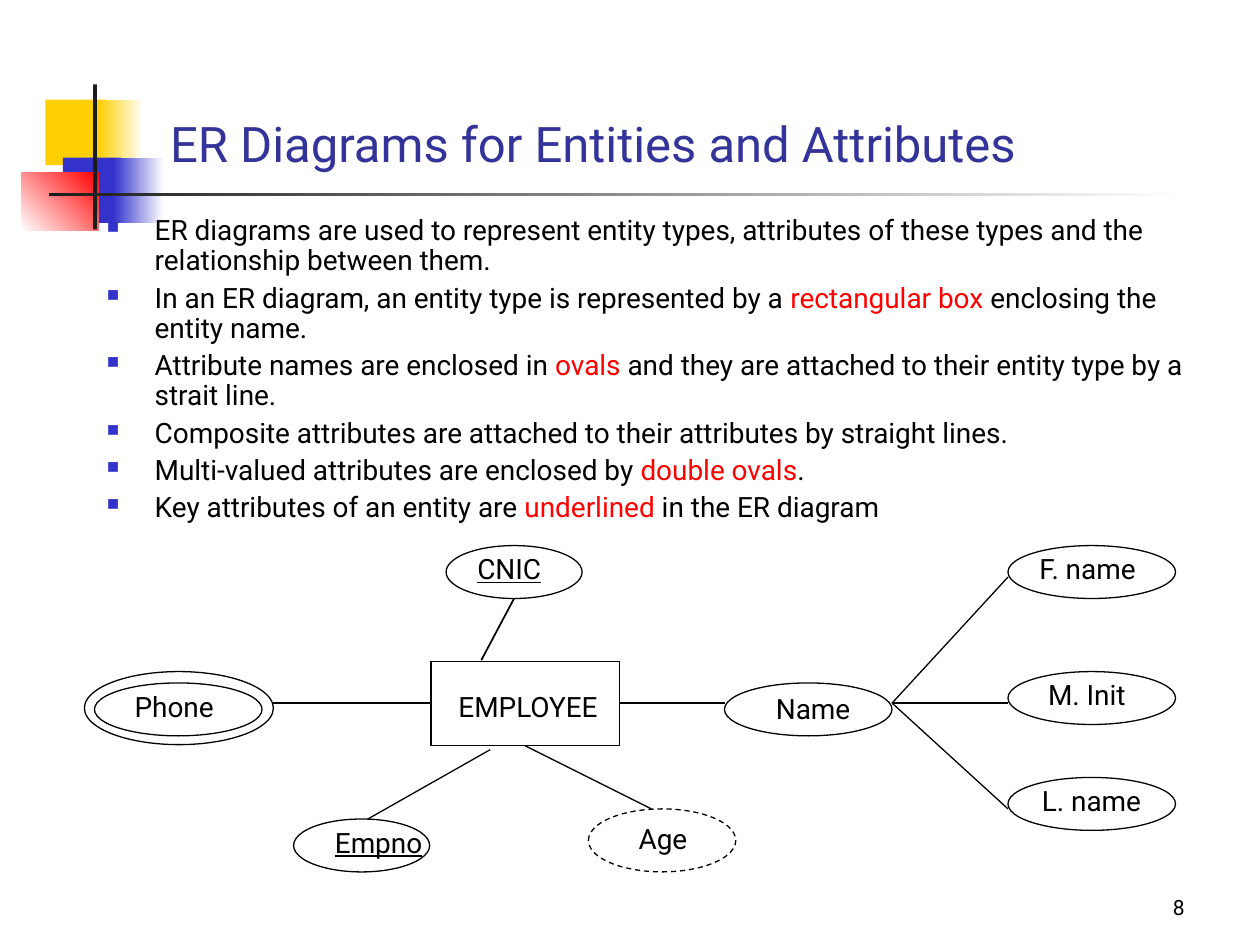
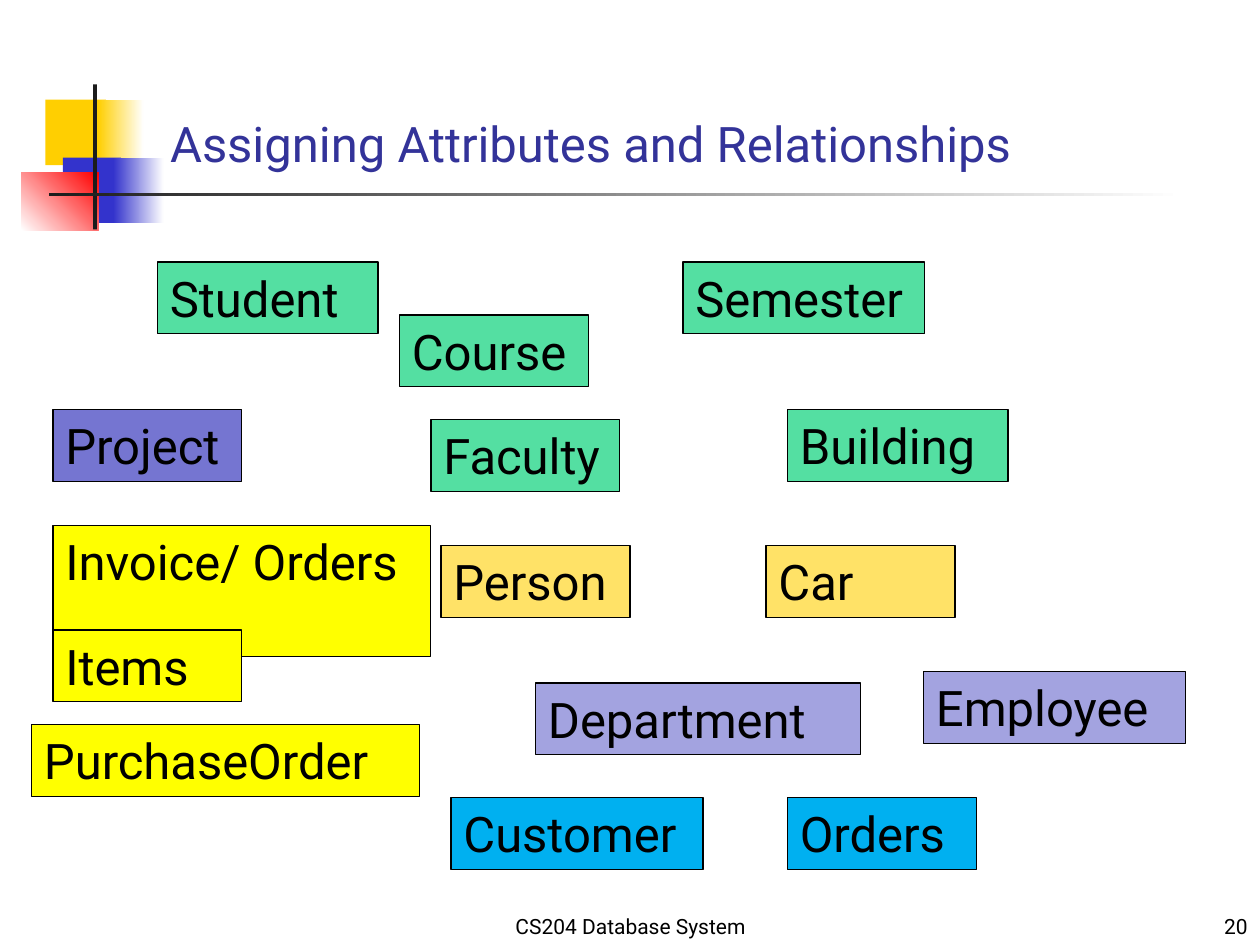
from dataclasses import dataclass
from typing import Optional

from lxml.etree import SubElement
from pptx import Presentation
from pptx.dml.color import RGBColor
from pptx.enum.dml import MSO_LINE
from pptx.enum.shapes import MSO_CONNECTOR, MSO_SHAPE
from pptx.enum.text import MSO_ANCHOR, MSO_AUTO_SIZE, PP_ALIGN
from pptx.oxml.ns import qn
from pptx.util import Inches, Pt

FONT = "Roboto"
BLACK = RGBColor(0x00, 0x00, 0x00)
WHITE = RGBColor(0xFF, 0xFF, 0xFF)
CHARCOAL = RGBColor(0x1C, 0x1C, 0x1C)
GOLD = RGBColor(0xFF, 0xCF, 0x01)
BLUE = RGBColor(0x33, 0x33, 0xCC)
NAVY = RGBColor(0x33, 0x33, 0x99)
RED = RGBColor(0xFF, 0x00, 0x00)
GREEN = RGBColor(0x54, 0xDF, 0xA2)
AMBER = RGBColor(0xFF, 0xE2, 0x67)
LAVENDER = RGBColor(0xA3, 0xA3, 0xE0)
VIOLET = RGBColor(0x75, 0x75, 0xD1)
YELLOW = RGBColor(0xFF, 0xFF, 0x00)
SKY = RGBColor(0x00, 0xB0, 0xF0)


@dataclass
class Area:
    left: float
    top: float
    width: float
    height: float

    def lengths(self):
        return [Inches(n) for n in (self.left, self.top, self.width, self.height)]


@dataclass
class Band:
    area: Area
    color: RGBColor
    fade_to: Optional[RGBColor] = None
    angle: float = 0


@dataclass
class Attribute:
    name: str
    oval: Area
    label: Area
    key: bool = False
    derived: bool = False


@dataclass
class Entity:
    name: str
    color: RGBColor
    left: float
    top: float
    width: float = 1.5
    height: float = 0.57


BANDS = [
    Band(Area(0.36, 0.79, 0.48, 0.52), GOLD),
    Band(Area(0.78, 0.79, 0.36, 0.52), GOLD, WHITE),
    Band(Area(0.5, 1.25, 0.46, 0.52), BLUE),
    Band(Area(0.9, 1.25, 0.4, 0.52), BLUE, WHITE),
    Band(Area(0.17, 1.37, 0.61, 0.46), WHITE, RED, 45),
    Band(Area(0.74, 0.67, 0.03, 1.15), CHARCOAL),
    Band(Area(0.39, 1.53, 9, 0.03), CHARCOAL, WHITE),
]

# Each bullet is a list of pieces; every second piece is highlighted
BULLETS = [
    ["ER diagrams are used to represent entity types, attributes of these types "
     "and the relationship between them."],
    ["In an ER diagram, an entity type is represented by a ", "rectangular box",
     " enclosing the entity name."],
    ["Attribute names are enclosed in ", "ovals",
     " and they are attached to their entity type by a strait line."],
    ["Composite attributes are attached to their attributes by straight lines."],
    ["Multi-valued attributes are enclosed by ", "double ovals", "."],
    ["Key attributes of an entity are ", "underlined", " in the ER diagram"],
]

ATTRIBUTES = [
    Attribute("Phone", Area(0.75, 5.42, 1.33, 0.42), Area(0.97, 5.42, 0.86, 0.37)),
    Attribute("Name", Area(5.75, 5.42, 1.33, 0.42), Area(6.06, 5.44, 0.82, 0.37)),
    Attribute("F. name", Area(8, 4.33, 1.33, 0.42), Area(8.15, 4.33, 1.02, 0.37)),
    Attribute("M. Init", Area(8, 5.33, 1.33, 0.42), Area(8.22, 5.33, 0.86, 0.37)),
    Attribute("L. name", Area(8, 6.17, 1.33, 0.42), Area(8.17, 6.17, 0.99, 0.37)),
    Attribute("CNIC", Area(3.54, 4.33, 1.08, 0.42), Area(3.69, 4.33, 0.72, 0.37), key=True),
    Attribute("Empno", Area(2.33, 6.5, 1.08, 0.42), Area(2.56, 6.5, 0.94, 0.37), key=True),
    Attribute("Age", Area(4.67, 6.42, 1.17, 0.5), Area(4.97, 6.47, 0.6, 0.37), derived=True),
]
EMPLOYEE_BOX = Area(3.42, 5.25, 1.5, 0.67)
EMPLOYEE_LABEL = Area(3.54, 5.42, 1.32, 0.37)
PHONE_OUTER_OVAL = Area(0.67, 5.33, 1.5, 0.58)

# Start x, start y, end x, end y
LINKS = [
    (3.42, 5.58, 2.17, 5.58),
    (3.89, 5.95, 2.92, 6.5),
    (4.17, 5.92, 5.17, 6.42),
    (4.92, 5.58, 5.75, 5.58),
    (7.08, 5.58, 8, 4.58),
    (7.08, 5.58, 8, 5.58),
    (7.08, 5.58, 8, 6.42),
]
CNIC_LINK = (4.08, 4.75, 3.82, 5.24)

ENTITIES = [
    Entity("Student", GREEN, 1.25, 2.08, 1.75),
    Entity("Course", GREEN, 3.17, 2.5),
    Entity("Semester", GREEN, 5.42, 2.08, 1.92),
    Entity("Faculty", GREEN, 3.42, 3.33),
    Entity("Building", GREEN, 6.25, 3.25, 1.75),
    Entity("Person", AMBER, 3.5, 4.33),
    Entity("Car", AMBER, 6.08, 4.33),
    Entity("Department", LAVENDER, 4.25, 5.42, 2.58),
    Entity("Employee", LAVENDER, 7.33, 5.33, 2.08),
    Entity("Project", VIOLET, 0.42, 3.25),
    Entity("Invoice/ Orders", YELLOW, 0.42, 4.17, 3, 1.04),
    Entity("Items", YELLOW, 0.42, 5),
    Entity("PurchaseOrder", YELLOW, 0.25, 5.75, 3.08),
    Entity("Customer", SKY, 3.58, 6.33, 2),
    Entity("Orders", SKY, 6.25, 6.33),
]


def style(para, size: float, color: RGBColor = BLACK, align=PP_ALIGN.LEFT) -> None:
    para.alignment = align
    para.font.name = FONT
    para.font.size = Pt(size)
    para.font.color.rgb = color


def add_band(page, band: Band) -> None:
    shape = page.shapes.add_shape(MSO_SHAPE.RECTANGLE, *band.area.lengths())
    shape.shadow.inherit = False
    shape.line.fill.background()
    if band.fade_to is None:
        shape.fill.solid()
        shape.fill.fore_color.rgb = band.color
        return
    shape.fill.gradient()
    shape.fill.gradient_angle = band.angle
    for stop, color, position in zip(shape.fill.gradient_stops,
                                     (band.color, band.fade_to), (0, 1)):
        stop.color.rgb = color
        stop.position = position


def add_page(deck, heading: str):
    page = deck.slides.add_slide(deck.slide_layouts[5])
    for band in BANDS:
        add_band(page, band)
    title = page.shapes.title
    title.left, title.top, title.width, title.height = Area(1.25, 0.75, 8.52, 0.67).lengths()
    frame = title.text_frame
    frame.text = heading
    frame.word_wrap = True
    frame.auto_size = MSO_AUTO_SIZE.NONE
    frame.vertical_anchor = MSO_ANCHOR.BOTTOM
    style(frame.paragraphs[0], 28, NAVY)
    return page


def add_footer(page, text: str, area: Area, align) -> None:
    frame = page.shapes.add_textbox(*area.lengths()).text_frame
    frame.word_wrap = True
    frame.vertical_anchor = MSO_ANCHOR.BOTTOM
    frame.text = text
    style(frame.paragraphs[0], 12, align=align)


def add_label(page, text: str, area: Area, underline: bool = False) -> None:
    frame = page.shapes.add_textbox(*area.lengths()).text_frame
    frame.word_wrap = False
    frame.auto_size = MSO_AUTO_SIZE.SHAPE_TO_FIT_TEXT
    frame.text = text
    para = frame.paragraphs[0]
    style(para, 16)
    if underline:
        para.font.underline = True


def add_outlined(page, kind, area: Area, fill: Optional[RGBColor] = None):
    shape = page.shapes.add_shape(kind, *area.lengths())
    shape.shadow.inherit = False
    shape.line.color.rgb = BLACK
    shape.line.width = Pt(0.75)
    if fill is None:
        shape.fill.background()
    else:
        shape.fill.solid()
        shape.fill.fore_color.rgb = fill
    return shape


def add_link(page, ends: tuple, width: float = 0.75) -> None:
    link = page.shapes.add_connector(MSO_CONNECTOR.STRAIGHT, *[Inches(n) for n in ends])
    link.line.color.rgb = BLACK
    link.line.width = Pt(width)
    SubElement(link._element.spPr, qn("a:effectLst"))


def add_bullet_mark(para) -> None:
    properties = para._p.get_or_add_pPr()
    properties.set("marL", str(Inches(0.38)))
    properties.set("indent", str(-Inches(0.38)))
    color = SubElement(properties, qn("a:buClr"))
    SubElement(color, qn("a:srgbClr"), val=str(BLUE))
    SubElement(properties, qn("a:buSzPct"), val="60000")
    SubElement(properties, qn("a:buChar"), char="■")


def add_bullets(page) -> None:
    frame = page.shapes.add_textbox(*Area(0.75, 1.67, 8.83, 5.25).lengths()).text_frame
    frame.word_wrap = True
    for number, pieces in enumerate(BULLETS):
        para = frame.add_paragraph() if number else frame.paragraphs[0]
        add_bullet_mark(para)
        style(para, 16)
        para.line_spacing = 0.9
        if number:
            para.space_before = Pt(4)
        for index, piece in enumerate(pieces):
            span = para.add_run()
            span.text = piece
            if index % 2:
                span.font.color.rgb = RED


def add_attribute(page, attribute: Attribute) -> None:
    oval = add_outlined(page, MSO_SHAPE.OVAL, attribute.oval)
    if attribute.derived:
        oval.line.dash_style = MSO_LINE.DASH
    add_label(page, attribute.name, attribute.label, attribute.key)


def add_entity(page, entity: Entity) -> None:
    area = Area(entity.left, entity.top, entity.width, entity.height)
    box = add_outlined(page, MSO_SHAPE.RECTANGLE, area, entity.color)
    frame = box.text_frame
    frame.word_wrap = True
    frame.vertical_anchor = MSO_ANCHOR.TOP
    frame.text = entity.name
    style(frame.paragraphs[0], 28)


def build_diagram_page(deck) -> None:
    page = add_page(deck, "ER Diagrams for Entities and Attributes")
    add_bullets(page)
    # Employee entity with its attributes
    add_outlined(page, MSO_SHAPE.RECTANGLE, EMPLOYEE_BOX)
    add_label(page, "EMPLOYEE", EMPLOYEE_LABEL)
    add_outlined(page, MSO_SHAPE.OVAL, PHONE_OUTER_OVAL)
    for attribute in ATTRIBUTES:
        add_attribute(page, attribute)
    for ends in LINKS:
        add_link(page, ends)
    add_link(page, CNIC_LINK, 1)
    add_footer(page, "8", Area(8.92, 6.83, 0.58, 0.52), PP_ALIGN.RIGHT)


def build_entities_page(deck) -> None:
    page = add_page(deck, "Assigning Attributes and Relationships")
    for entity in ENTITIES:
        add_entity(page, entity)
    add_footer(page, "CS204 Database System", Area(3.42, 7.08, 3.17, 0.42), PP_ALIGN.CENTER)
    add_footer(page, "20", Area(7.92, 7.08, 2.08, 0.42), PP_ALIGN.RIGHT)


def main() -> None:
    deck = Presentation()
    deck.slide_width, deck.slide_height = Inches(10), Inches(7.5)
    build_diagram_page(deck)
    build_entities_page(deck)
    deck.save("out.pptx")


if __name__ == "__main__":
    main()
